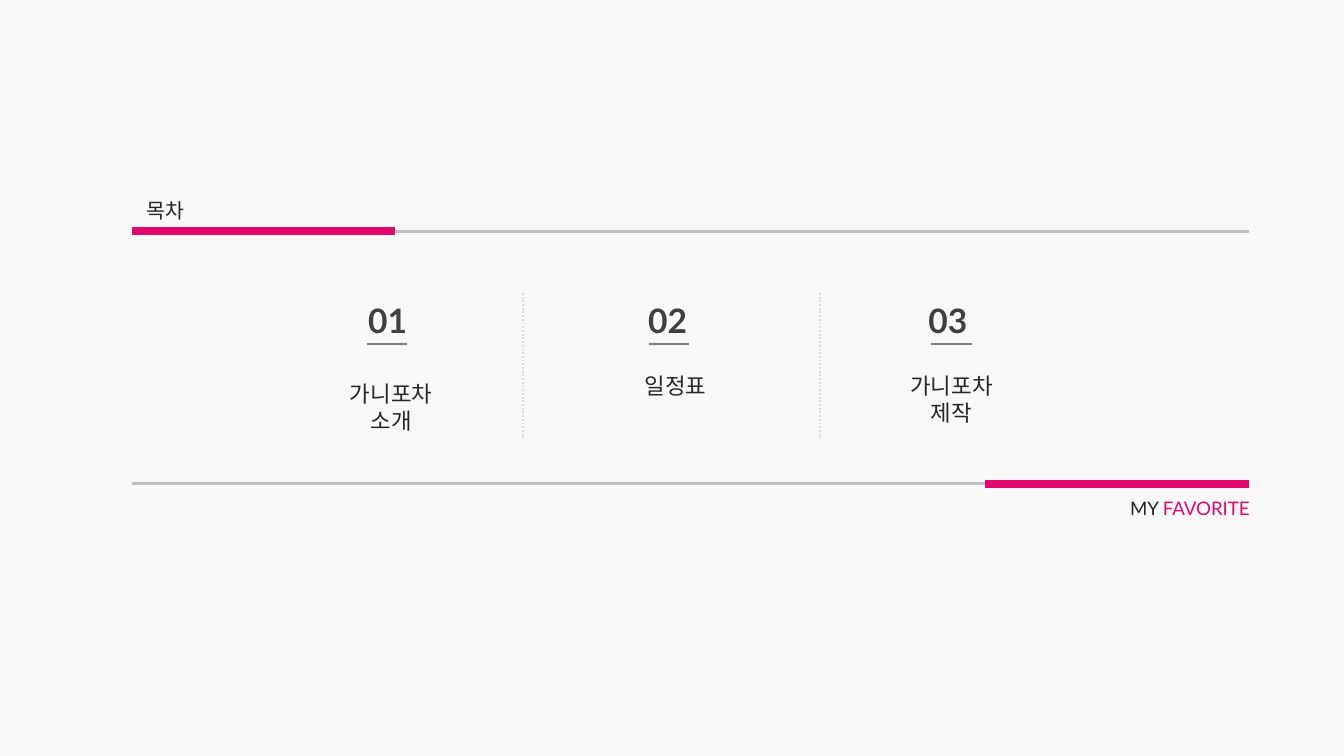
from dataclasses import dataclass

from lxml import etree
from pptx import Presentation
from pptx import util as u
from pptx.dml.color import RGBColor
from pptx.enum import dml, shapes, text
from pptx.oxml.ns import qn

PAPER = RGBColor(0xF8, 0xF8, 0xF8)
PINK = RGBColor(0xE0, 0x08, 0x68)
INK = RGBColor(0x26, 0x26, 0x26)
NUMBER = RGBColor(0x40, 0x40, 0x40)
UNDERLINE = RGBColor(0x80, 0x80, 0x80)
RULE = RGBColor(0xBF, 0xBF, 0xBF)
DIVIDER = RGBColor(0xD9, 0xD9, 0xD9)

FONT = "Lato"
WIDTH = u.Inches(10)
HEIGHT = WIDTH * 9 // 16
LEFT, RIGHT, ACCENT = 9.8, 92.9, 19.6
TOP_RULE, BOTTOM_RULE = 30.6, 64
NUMBER_TOP, NUMBER_LEFT, NUMBER_STEP = 38.76, 26.4, 20.85
UNDERLINE_TOP, UNDERLINE_LEFT, UNDERLINE_STEP = 45.5, 27.3, 21


@dataclass(frozen=True)
class Area:
    left: float
    top: float
    width: float
    height: float


@dataclass(frozen=True)
class Stroke:
    color: RGBColor
    weight: float
    dotted: bool = False


@dataclass(frozen=True)
class Chapter:
    label: str
    area: Area


CHAPTERS = [
    Chapter("가니포차 소개", Area(24.2, 49.42, 9.8, 8.9)),
    Chapter("일정표", Area(44.2, 48.36, 12.1, 5.33)),
    Chapter("가니포차 제작", Area(65.9, 48.36, 9.8, 8.9)),
]
GRAY_RULE = Stroke(RULE, 1.5)
PINK_RULE = Stroke(PINK, 4.5)
DOTTED = Stroke(DIVIDER, 1, dotted=True)
THIN = Stroke(UNDERLINE, 1)


def across(share: float) -> int:
    return round(WIDTH * share / 100)


def down(share: float) -> int:
    return round(HEIGHT * share / 100)


def draw_line(page, x1: float, y1: float, x2: float, y2: float, stroke: Stroke) -> None:
    line = page.shapes.add_connector(
        shapes.MSO_CONNECTOR.STRAIGHT, across(x1), down(y1), across(x2), down(y2))
    line.line.color.rgb = stroke.color
    line.line.width = u.Pt(stroke.weight)
    if stroke.dotted:
        line.line.dash_style = dml.MSO_LINE.ROUND_DOT
    etree.SubElement(line._element.spPr, qn("a:effectLst"))


def format_text(box, words: str, size: float, color: RGBColor,
                align=text.PP_ALIGN.LEFT, bold: bool = False):
    frame = box.text_frame
    frame.word_wrap = True
    frame.auto_size = text.MSO_AUTO_SIZE.SHAPE_TO_FIT_TEXT
    frame.vertical_anchor = text.MSO_ANCHOR.TOP
    para = frame.paragraphs[0]
    para.text = words
    para.alignment = align
    para.font.name = FONT
    para.font.size = u.Pt(size)
    para.font.bold = bold
    para.font.color.rgb = color
    return para


def add_text(page, area: Area, words: str, size: float, color: RGBColor, **style):
    box = page.shapes.add_textbox(
        across(area.left), down(area.top), across(area.width), down(area.height))
    return format_text(box, words, size, color, **style)


def add_title(page, area: Area, words: str) -> None:
    title = page.shapes.title
    title.left, title.top = across(area.left), down(area.top)
    title.width, title.height = across(area.width), down(area.height)
    format_text(title, words, 11, INK)


def add_chapter(page, index: int, chapter: Chapter) -> None:
    number = Area(NUMBER_LEFT + index * NUMBER_STEP, NUMBER_TOP, 10.4, 7.1)
    add_text(page, number, f"{index + 1:02}", 18, NUMBER, bold=True)
    start = UNDERLINE_LEFT + index * UNDERLINE_STEP
    draw_line(page, start, UNDERLINE_TOP, start + 3, UNDERLINE_TOP, THIN)
    add_text(page, chapter.area, chapter.label, 12, INK, align=text.PP_ALIGN.CENTER)


def main() -> None:
    deck = Presentation()
    deck.slide_width, deck.slide_height = WIDTH, HEIGHT
    page = deck.slides.add_slide(deck.slide_layouts[5])
    page.background.fill.solid()
    page.background.fill.fore_color.rgb = PAPER

    add_title(page, Area(9.9, 25.24, 18.5, 5.1), "목차")
    draw_line(page, LEFT + ACCENT, TOP_RULE, RIGHT, TOP_RULE, GRAY_RULE)
    draw_line(page, LEFT, TOP_RULE, LEFT + ACCENT, TOP_RULE, PINK_RULE)
    draw_line(page, LEFT, BOTTOM_RULE, RIGHT - ACCENT, BOTTOM_RULE, GRAY_RULE)
    draw_line(page, RIGHT - ACCENT, BOTTOM_RULE, RIGHT, BOTTOM_RULE, PINK_RULE)

    for x in (38.9, 61):
        draw_line(page, x, NUMBER_TOP, x, 58, DOTTED)
    for index, chapter in enumerate(CHAPTERS):
        add_chapter(page, index, chapter)

    footer = add_text(page, Area(83.1, 64.9, 13.3, 4.8), "MY ", 10, INK)
    span = footer.add_run()
    span.text = "FAVORITE"
    span.font.color.rgb = PINK

    deck.save("out.pptx")


if __name__ == "__main__":
    main()
